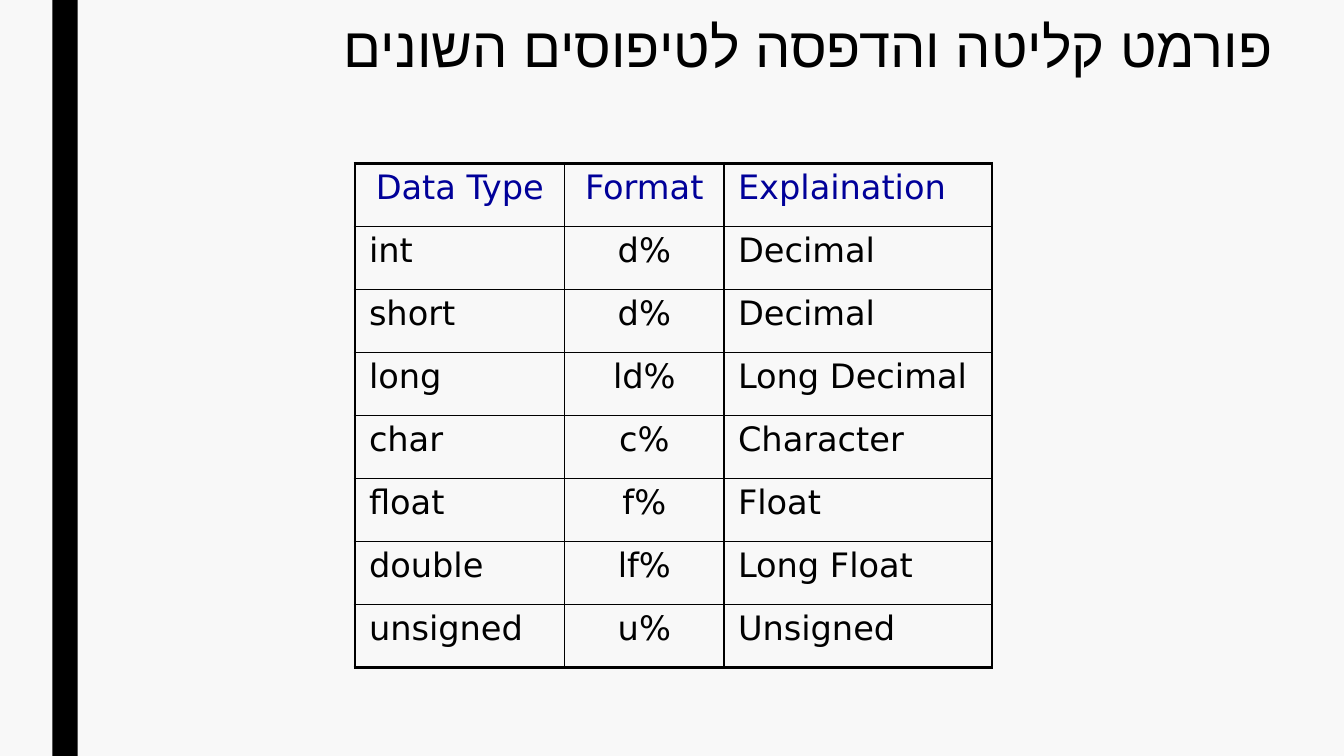
from lxml import etree
from pptx import Presentation
from pptx.dml.color import RGBColor
from pptx.enum.shapes import MSO_SHAPE
from pptx.enum.text import MSO_ANCHOR, PP_ALIGN
from pptx.oxml.ns import qn
from pptx.util import Inches, Pt

LEFT, CENTER, RIGHT = PP_ALIGN.LEFT, PP_ALIGN.CENTER, PP_ALIGN.RIGHT
TOP = MSO_ANCHOR.TOP
RECTANGLE = MSO_SHAPE.RECTANGLE

TITLE = "פורמט קליטה והדפסה לטיפוסים השונים"
HEADER = ("Data Type", "Format", "Explaination")
FORMATS = [
    ("int", "%d", "Decimal"),
    ("short", "%d", "Decimal"),
    ("long", "%ld", "Long Decimal"),
    ("char", "%c", "Character"),
    ("float", "%f", "Float"),
    ("double", "%lf", "Long Float"),
    ("unsigned", "%u", "Unsigned"),
]
COLORS = {"background": "F8F8F8", "ink": "000000", "header": "000099"}

WIDTH, HEIGHT = 13.33, 7.5
BAR = (0.52, 0, 0.25, HEIGHT)
TITLE_BOX = (1.5, 0.15, 11.22, 1.13)
TABLE_LEFT, TABLE_TOP, TABLE_HEIGHT = 3.52, 1.62, 5
COLUMN_WIDTHS = (2.08, 1.58, 2.66)
THIN, THICK = 1, 2.25


def color(name):
    return RGBColor.from_string(COLORS[name])


def write(frame, text, size, font, ink="ink", align=LEFT, line=None, before=0):
    paragraph = frame.paragraphs[0]
    paragraph.alignment = align
    paragraph.line_spacing = line
    paragraph.space_before = Pt(before)
    paragraph._p.get_or_add_pPr().set("rtl", "1")
    run = paragraph.add_run()
    run.text = text
    run.font.size = Pt(size)
    run.font.name = font
    run.font.color.rgb = color(ink)
    complex_font = etree.SubElement(run._r.get_or_add_rPr(), qn("a:cs"))
    complex_font.set("typeface", font)


def draw_borders(cell, edges):
    properties = cell._tc.get_or_add_tcPr()
    for side, outer in edges.items():
        border = etree.SubElement(properties, qn(f"a:ln{side}"))
        border.set("w", str(Pt(THICK if outer else THIN)))
        fill = etree.SubElement(border, qn("a:solidFill"))
        etree.SubElement(fill, qn("a:srgbClr")).set("val", COLORS["ink"])


def add_bar(slide):
    bar = slide.shapes.add_shape(RECTANGLE, *map(Inches, BAR))
    bar.shadow.inherit = False
    bar.fill.solid()
    bar.fill.fore_color.rgb = color("ink")
    bar.line.fill.background()


def add_title(slide):
    frame = slide.shapes.add_textbox(*map(Inches, TITLE_BOX)).text_frame
    frame.word_wrap = True
    frame.vertical_anchor = TOP
    write(frame, TITLE, 40, "Arial", align=RIGHT, line=0.89)


def add_format_table(slide):
    rows = [HEADER, *FORMATS]
    last_row, last_column = len(rows) - 1, len(HEADER) - 1
    box = (TABLE_LEFT, TABLE_TOP, sum(COLUMN_WIDTHS), TABLE_HEIGHT)
    table = slide.shapes.add_table(len(rows), len(HEADER), *map(Inches, box)).table
    table.first_row = table.horz_banding = False
    for column, width in zip(table.columns, COLUMN_WIDTHS):
        column.width = Inches(width)
    for row_index, row in enumerate(rows):
        table.rows[row_index].height = Inches(TABLE_HEIGHT / len(rows))
        is_header = row_index == 0
        for column_index, text in enumerate(row):
            cell = table.cell(row_index, column_index)
            cell.margin_left = cell.margin_right = Inches(0.14)
            cell.margin_top = cell.margin_bottom = Inches(0.05)
            draw_borders(cell, {
                "L": column_index == 0,
                "R": column_index == last_column,
                "T": is_header,
                "B": row_index == last_row,
            })
            cell.fill.background()
            centered = column_index == 1 or (is_header and column_index == 0)
            write(cell.text_frame, text, 24, "DejaVu Sans",
                  ink="header" if is_header else "ink",
                  align=CENTER if centered else LEFT, before=4.8)


def main():
    presentation = Presentation()
    presentation.slide_width = Inches(WIDTH)
    presentation.slide_height = Inches(HEIGHT)
    slide = presentation.slides.add_slide(presentation.slide_layouts[6])
    slide.background.fill.solid()
    slide.background.fill.fore_color.rgb = color("background")
    add_bar(slide)
    add_title(slide)
    add_format_table(slide)
    presentation.save("out.pptx")


if __name__ == "__main__":
    main()
